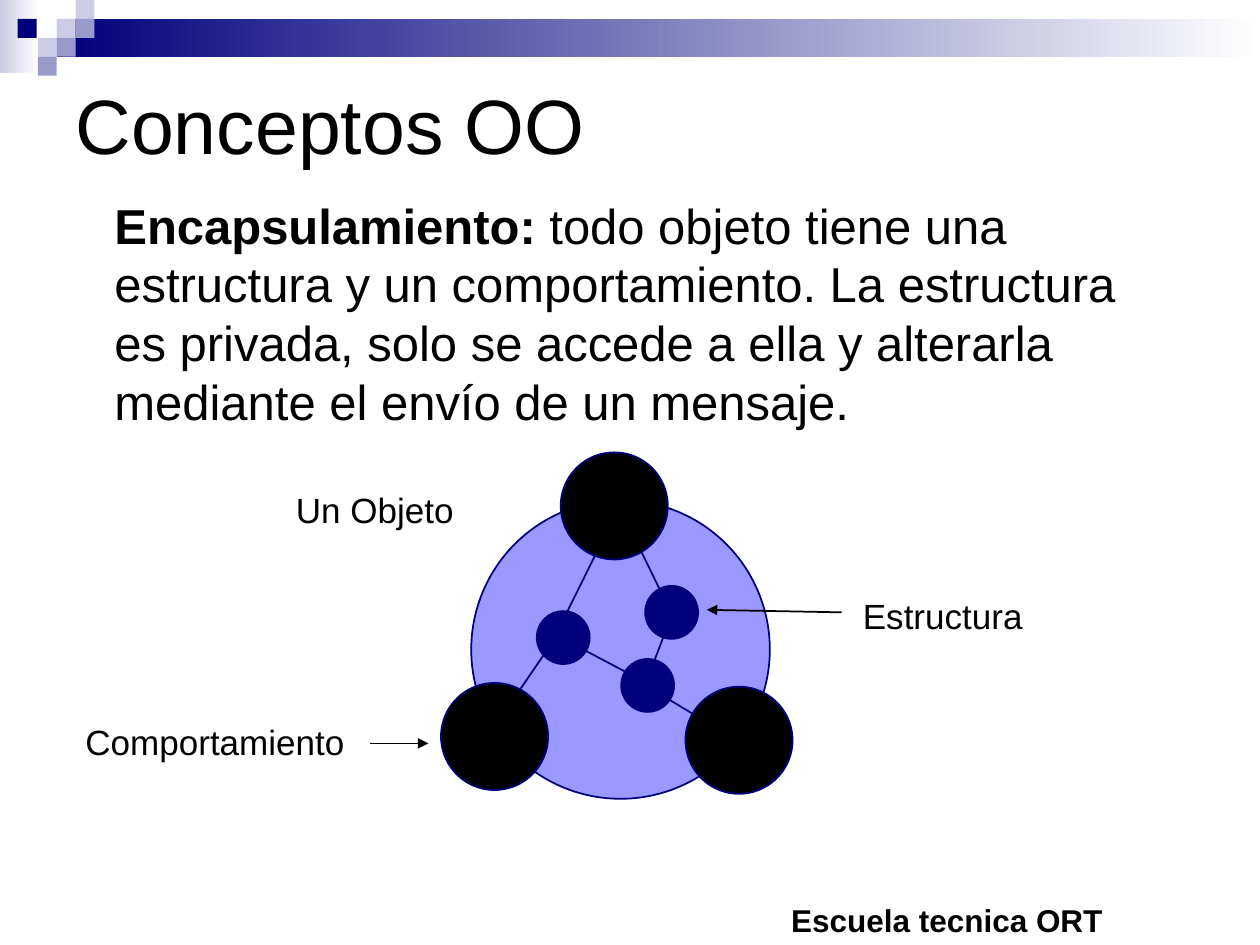
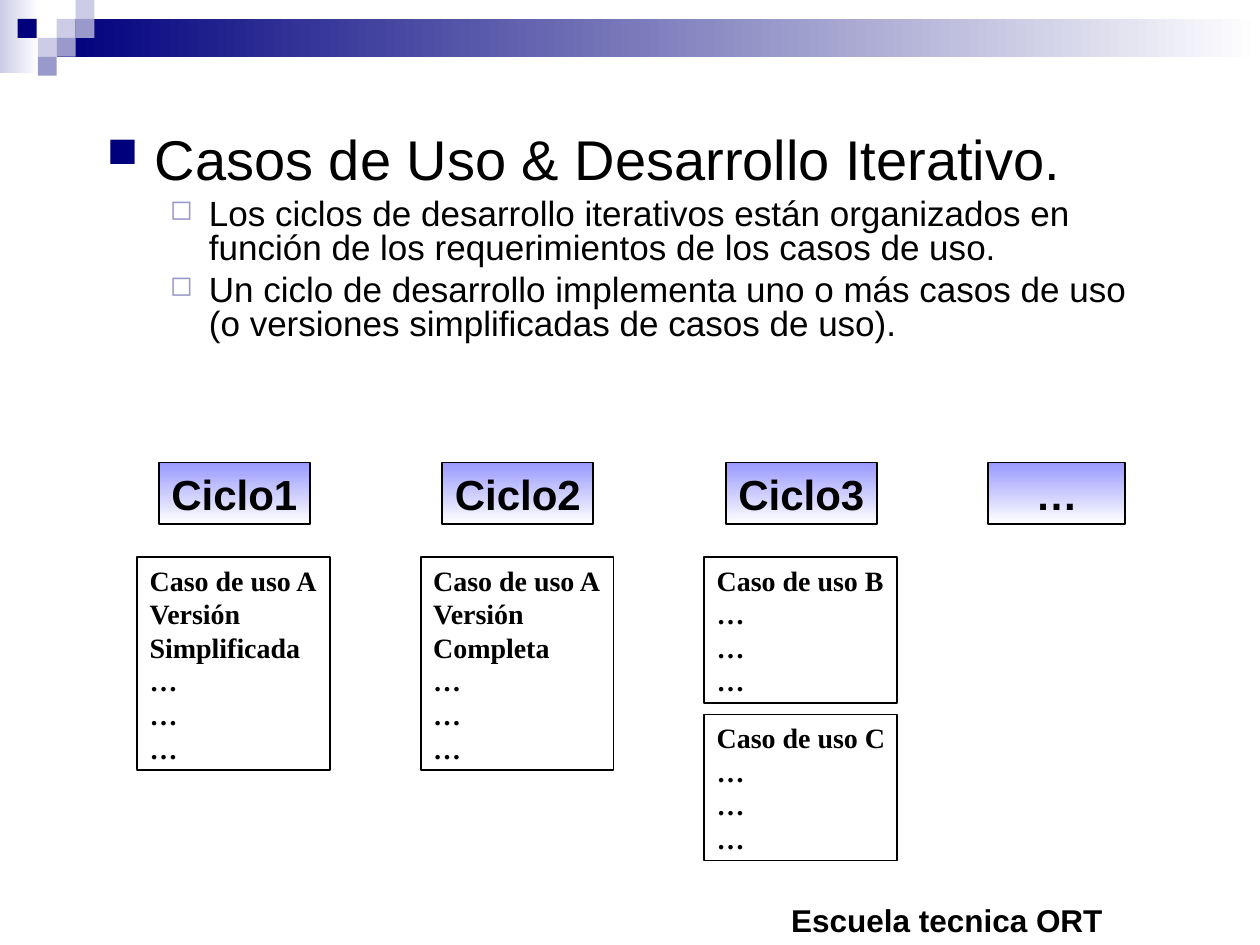
from lxml import etree
from pptx import Presentation
from pptx.dml.color import RGBColor
from pptx.enum.shapes import MSO_CONNECTOR, MSO_SHAPE
from pptx.enum.text import MSO_ANCHOR, PP_ALIGN
from pptx.oxml.ns import qn
from pptx.util import Inches, Pt

COLORS = {
    "black": "000000",
    "white": "FFFFFF",
    "navy": "00007D",
    "slate": "9999CC",
    "pale": "CCCCE6",
    "violet": "9999FF",
}
COLORS = {name: RGBColor.from_string(value) for name, value in COLORS.items()}


def add_figure(page, kind, place, fill=None, line=None, angle=0):
    """Add a shape; a pair of colours as fill makes a gradient."""
    figure = page.shapes.add_shape(kind, *[Inches(value) for value in place])
    figure.shadow.inherit = False
    if fill is None:
        figure.fill.background()
    elif isinstance(fill, tuple):
        figure.fill.gradient()
        figure.fill.gradient_angle = angle
        for stop, color in zip(figure.fill.gradient_stops, fill):
            stop.color.rgb = COLORS[color]
    else:
        figure.fill.solid()
        figure.fill.fore_color.rgb = COLORS[fill]
    if line:
        figure.line.color.rgb = COLORS[line]
        figure.line.width = Pt(1)
    else:
        figure.line.fill.background()
    return figure


def write_text(box, lines, size, font="Arial", bold=None, wrap=True,
               anchor=MSO_ANCHOR.TOP, align=PP_ALIGN.LEFT):
    """Fill a box with one paragraph per line and return the paragraphs."""
    frame = box.text_frame
    frame.text = "\n".join(lines)
    frame.word_wrap = wrap
    frame.vertical_anchor = anchor
    for para in frame.paragraphs:
        para.alignment = align
        para.font.name = font
        para.font.size = Pt(size)
        para.font.bold = bold
        para.font.color.rgb = COLORS["black"]
    return frame.paragraphs


deck = Presentation()
deck.slide_width, deck.slide_height = Inches(10), Inches(7.5)
concepts = deck.slides.add_slide(deck.slide_layouts[5])
cycles = deck.slides.add_slide(deck.slide_layouts[6])

# Shared band, corner squares and footer
TILE = 0.15
tiles = [(0.45, 0.15, "pale"), (0.6, 0, "pale"), (0.6, 0.15, "slate"),
         (0.3, 0.3, "pale"), (0.14, 0.15, "navy"), (0.45, 0.3, "slate"),
         (0.3, 0.45, "slate")]
for page in (concepts, cycles):
    add_figure(page, MSO_SHAPE.RECTANGLE, (0, 0, 0.31, 0.58), ("pale", "white"))
    add_figure(page, MSO_SHAPE.RECTANGLE, (0.45, 0.15, 9.55, 0.3), ("navy", "white"))
    for left, top, color in tiles:
        add_figure(page, MSO_SHAPE.RECTANGLE, (left, top, TILE, TILE), color)
    footer = page.shapes.add_textbox(Inches(6.18), Inches(7.1), Inches(3.45), Inches(0.4))
    write_text(footer, ["Escuela tecnica ORT"], 18, bold=True, anchor=MSO_ANCHOR.MIDDLE)

# Slide 1: title and definition
title = concepts.shapes.title
title.left, title.top = Inches(0.5), Inches(0.5)
title.width, title.height = Inches(9), Inches(0.97)
write_text(title, ["Conceptos OO"], 44, anchor=MSO_ANCHOR.MIDDLE)

definition = concepts.shapes.add_textbox(Inches(0), Inches(1.5), Inches(9.42), Inches(2))
para = write_text(definition, ["Encapsulamiento: "], 28)[0]
para.runs[0].font.bold = True
span = para.add_run()
span.text = ("todo objeto tiene una estructura y un comportamiento. La estructura es privada, "
             "solo se accede a ella y alterarla mediante el envío de un mensaje.")
para._p.get_or_add_pPr().set("marL", str(Inches(0.81)))

# Object diagram: body, links, behaviour and structure nodes
add_figure(concepts, MSO_SHAPE.OVAL, (3.74, 3.97, 2.37, 2.37), "violet", "navy")
links = [(4.45, 5.06, 5.13, 5.42), (4.93, 4.05, 5.32, 4.85), (5.34, 4.86, 5.13, 5.41),
         (5.14, 5.45, 5.84, 5.87), (4.93, 3.99, 4.43, 5), (4.43, 5.03, 3.89, 5.82)]
arrows = [(2.94, 5.9, 3.4, 5.9), (6.68, 4.86, 5.61, 4.84)]
for ends in links + arrows:
    link = concepts.shapes.add_connector(
        MSO_CONNECTOR.STRAIGHT, *[Inches(value) for value in ends])
    link.line.color.rgb = COLORS["black" if ends in arrows else "navy"]
    link.line.width = Pt(1)
    if ends in arrows:
        etree.SubElement(link.line._get_or_add_ln(), qn("a:tailEnd"), type="triangle")
    etree.SubElement(link._element.spPr, qn("a:effectLst"))

nodes = [("black", 0.85, [(4.45, 3.59), (3.5, 5.42), (5.44, 5.45)]),
         ("navy", 0.42, [(4.26, 4.85), (5.12, 4.65), (4.93, 5.23)])]
for color, size, corners in nodes:
    for left, top in corners:
        add_figure(concepts, MSO_SHAPE.OVAL, (left, top, size, size), color, "navy")

for text, left, top, width in [("Un Objeto", 2.25, 3.83, 1.45),
                               ("Estructura", 6.75, 4.67, 1.47),
                               ("Comportamiento", 0.58, 5.67, 2.26)]:
    label = concepts.shapes.add_textbox(Inches(left), Inches(top), Inches(width), Inches(0.44))
    write_text(label, [text], 20, wrap=False)

# Slide 2: bulleted text
points = [
    "Casos de Uso & Desarrollo Iterativo.",
    "Los ciclos de desarrollo iterativos están organizados en función de los requerimientos "
    "de los casos de uso.",
    "Un ciclo de desarrollo implementa uno o más casos de uso (o versiones simplificadas de "
    "casos de uso).",
]
body = cycles.shapes.add_textbox(Inches(0.75), Inches(1.04), Inches(8.5), Inches(1.81))
for index, para in enumerate(write_text(body, points, 20)):
    if index == 0:
        margin, indent, mark, color, scale = 0.38, -0.38, "■", "navy", 75
        para.font.size = Pt(32)
    else:
        margin, indent, mark, color, scale = 0.81, -0.31, "◻", "slate", 80
        para.level = 1
        para.space_before = Pt(5)
    para.line_spacing = 0.8
    properties = para._p.get_or_add_pPr()
    properties.set("marL", str(Inches(margin)))
    properties.set("indent", str(Inches(indent)))
    bullet_color = etree.Element(qn("a:buClr"))
    etree.SubElement(bullet_color, qn("a:srgbClr"), val=str(COLORS[color]))
    bullet_size = etree.Element(qn("a:buSzPct"), val=str(scale * 1000))
    bullet_mark = etree.Element(qn("a:buChar"), char=mark)
    run_defaults = properties.find(qn("a:defRPr"))
    for element in (bullet_color, bullet_size, bullet_mark):
        run_defaults.addprevious(element)

# Cycle headings
COLUMN_STEP = 2.25
headings = [(f"Ciclo{number + 1}", 1.26 + number * COLUMN_STEP, 1.2) for number in range(3)]
for text, left, width in headings + [("…", 7.84, 1.09)]:
    heading = add_figure(cycles, MSO_SHAPE.RECTANGLE, (left, 3.67, width, 0.49),
                         ("violet", "white"), "black", angle=270)
    write_text(heading, [text], 24, bold=True, wrap=False, align=PP_ALIGN.CENTER)

# Use cases under each cycle, each followed by three open entries
cases = [(0, 4.42, 1.69, ["Caso de uso A", "Versión", "Simplificada"]),
         (1, 4.42, 1.69, ["Caso de uso A", "Versión", "Completa"]),
         (2, 4.42, 1.16, ["Caso de uso B"]),
         (2, 5.67, 1.16, ["Caso de uso C"])]
for column, top, height, lines in cases:
    case = add_figure(cycles, MSO_SHAPE.RECTANGLE,
                      (1.09 + column * COLUMN_STEP, top, 1.53, height), line="black")
    write_text(case, lines + ["…"] * 3, 16, font="Times New Roman", bold=True, wrap=False)

deck.save("out.pptx")
